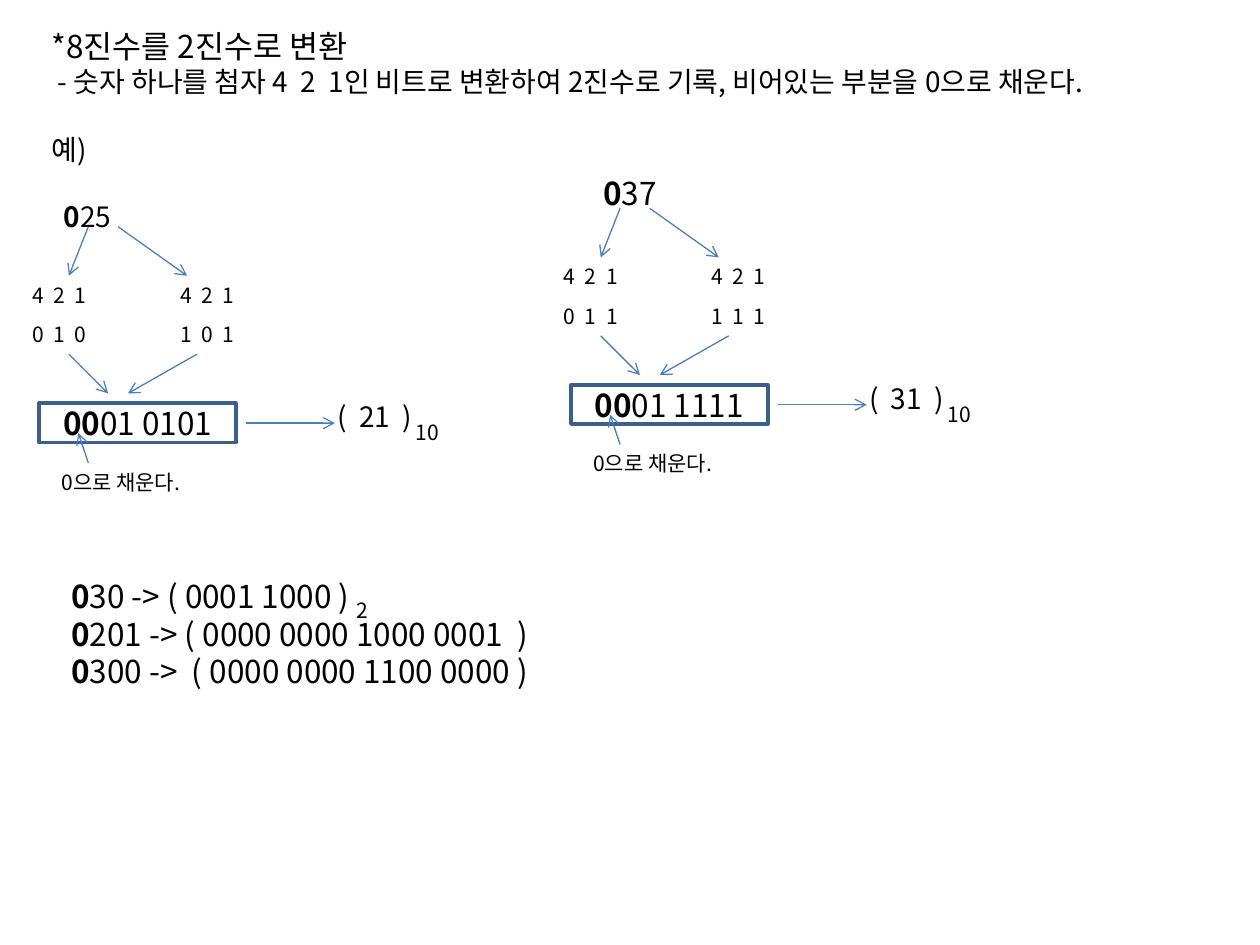
import pptx
import pptx.util
import pptx.dml.color
import pptx.enum.shapes
import pptx.enum.text
import pptx.oxml.ns
import lxml.etree

Cm = pptx.util.Cm
Pt = pptx.util.Pt
qn = pptx.oxml.ns.qn
BLACK = pptx.dml.color.RGBColor(0x00, 0x00, 0x00)
NAVY = pptx.dml.color.RGBColor(0x3A, 0x5F, 0x8C)
BLUE = pptx.dml.color.RGBColor(0x4B, 0x7E, 0xBC)
FACE = "Noto Sans CJK KR"
LEAD = 1.2  # line height over font size


def style(para, size):
    """Set font and line height for a whole paragraph."""
    font = para.font
    font.size = Pt(size)
    font.color.rgb = BLACK
    font.name = FACE
    east = lxml.etree.SubElement(font._element, qn("a:ea"))
    east.set("typeface", FACE)
    para.line_spacing = Pt(size * LEAD)


def write(para, text, size, bold=""):
    """Fill a paragraph, with an optional bold start."""
    if bold:
        run = para.add_run()
        run.text = bold
        run.font.bold = True
    para.add_run().text = text
    style(para, size)


def frame(shape):
    """Prepare a text frame that starts at its top left."""
    body = shape.text_frame
    body.word_wrap = True
    body.auto_size = pptx.enum.text.MSO_AUTO_SIZE.NONE
    body.vertical_anchor = pptx.enum.text.MSO_ANCHOR.TOP
    body.margin_left = Cm(0.25)
    body.margin_right = 0
    body.margin_top = body.margin_bottom = Cm(0.13)
    return body


def label(slide, x, y, w, h, lines, size):
    """Add a text box; each line is (bold start, text)."""
    box = slide.shapes.add_textbox(Cm(x), Cm(y), Cm(w), Cm(h))
    body = frame(box)
    for i, (bold, text) in enumerate(lines):
        para = body.add_paragraph() if i else body.paragraphs[0]
        write(para, text, size, bold)
    return body


def arrow(slide, x1, y1, x2, y2):
    line = slide.shapes.add_connector(
        pptx.enum.shapes.MSO_CONNECTOR.STRAIGHT, Cm(x1), Cm(y1), Cm(x2), Cm(y2))
    line.line.color.rgb = BLUE
    line.line.width = Pt(0.75)
    tail = lxml.etree.SubElement(line.line._get_or_add_ln(), qn("a:tailEnd"))
    tail.set("type", "arrow")
    lxml.etree.SubElement(line._element.spPr, qn("a:effectLst"))


def framebox(slide, x, y, w, h, bold, text):
    """Add the outlined box with the binary result."""
    box = slide.shapes.add_shape(
        pptx.enum.shapes.MSO_SHAPE.RECTANGLE, Cm(x), Cm(y), Cm(w), Cm(h))
    box.shadow.inherit = False
    box.fill.background()
    box.line.color.rgb = NAVY
    box.line.width = Pt(2)
    body = frame(box)
    body.margin_left = body.margin_top = body.margin_bottom = 0
    body.vertical_anchor = pptx.enum.text.MSO_ANCHOR.MIDDLE
    para = body.paragraphs[0]
    para.alignment = pptx.enum.text.PP_ALIGN.CENTER
    write(para, text, 18, bold)


def heading(slide):
    title = slide.shapes.title
    title.left, title.top = Cm(0.79), Cm(0.41)
    title.width, title.height = Cm(24.2), Cm(1.02)
    para = frame(title).paragraphs[0]
    para.alignment = pptx.enum.text.PP_ALIGN.LEFT
    write(para, "*8진수를 2진수로 변환", 18)


def intro(slide):
    body = label(slide, 0.79, 1.18, 24.2, 3.7, [
        ("", "- 숫자 하나를 첨자 4  2  1인 비트로 변환하여 2진수로 기록, "
             "비어있는 부분을 0으로 채운다."),
        ("", "예)"),
        ("0", "25")], 16)
    rule, sample, first = body.paragraphs
    for para, left in ((rule, 0.13), (first, 0.25)):
        para._p.get_or_add_pPr().set("marL", str(int(Cm(left))))
    for para in (sample, first):
        para.space_before = Pt(16 * LEAD)


def chart(slide, dx, dy, digits, result, value):
    """Draw one conversion, shifted by dx and dy."""
    framebox(slide, 0.79 + dx, 8.13 + dy, 3.97, 0.79, "00", result)
    # Arrows: split, merge, padding note, decimal value
    for x1, y1, x2, y2 in ((1.78, 4.57, 1.39, 5.56), (2.38, 4.57, 3.77, 5.56),
                           (1.39, 7.14, 2.18, 7.93), (3.97, 7.14, 2.58, 7.93),
                           (1.78, 9.33, 1.58, 8.73), (4.96, 8.53, 6.75, 8.53)):
        arrow(slide, x1 + dx, y1 + dy, x2 + dx, y2 + dy)
    # Weights above the bits of each digit
    for i, bits in enumerate(digits):
        for j, text in enumerate(("4  2  1", bits)):
            label(slide, 0.4 + 2.98 * i + dx, 5.56 + 0.79 * j + dy,
                  1.83, 0.76, [("", text)], 12)
    label(slide, 0.99 + dx, 9.33 + dy, 3.12, 0.76, [("", "0으로 채운다.")], 12)
    label(slide, 6.55 + dx, 7.93 + dy, 2.29, 0.94, [("", value)], 16)
    label(slide, 8.13 + dx, 8.33 + dy, 0.99, 0.76, [("", "10")], 12)


def main():
    deck = pptx.Presentation()
    deck.slide_width, deck.slide_height = Cm(25.4), Cm(19.05)
    slide = deck.slides.add_slide(deck.slide_layouts[5])
    heading(slide)
    intro(slide)
    # Two worked examples
    chart(slide, 0, 0, ("0  1  0", "1  0  1"), "01 0101", "(  21  )")
    chart(slide, 10.72, -0.37, ("0  1  1", "1  1  1"), "01 1111", "(  31  )")
    label(slide, 11.91, 3.38, 1.59, 1.02, [("0", "37")], 18)
    # Further results
    label(slide, 1.19, 11.5, 10.5, 2.56, [
        ("0", "30 -> ( 0001 1000 )"),
        ("0", "201 -> ( 0000 0000 1000 0001  )"),
        ("0", "300 ->  ( 0000 0000 1100 0000 )")], 18)
    label(slide, 6.93, 11.91, 0.75, 0.76, [("", "2")], 12)
    deck.save("out.pptx")


if __name__ == "__main__":
    main()
